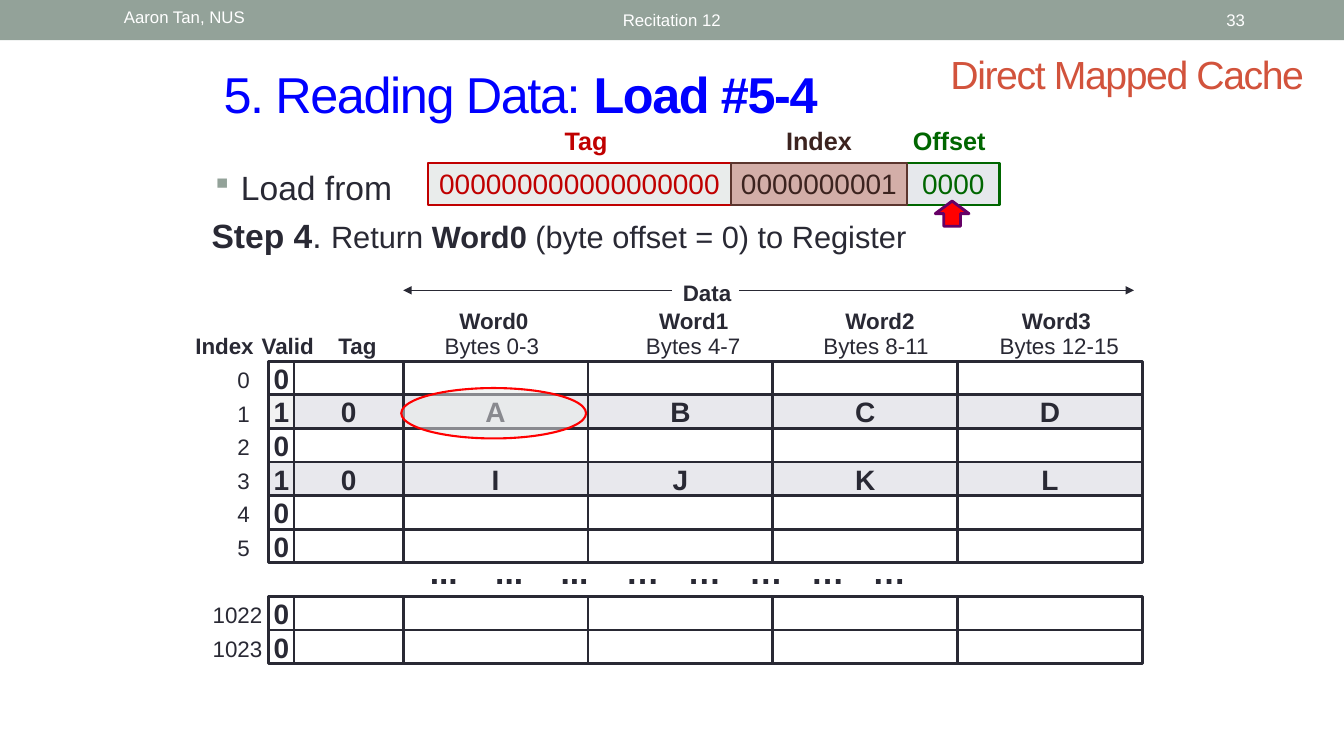
import dataclasses

import lxml.etree
import pptx
import pptx.dml.color
import pptx.enum.shapes
import pptx.enum.text
import pptx.oxml.ns
import pptx.util

Pt = pptx.util.Pt
SHAPE = pptx.enum.shapes.MSO_SHAPE
ALIGN = pptx.enum.text.PP_ALIGN
ANCHOR = pptx.enum.text.MSO_ANCHOR


@dataclasses.dataclass(frozen=True)
class Theme:
    """Colours and type sizes of the slide."""
    font: str = "Arial"
    ink: str = "292934"
    bar: str = "93A299"
    white: str = "FFFFFF"
    title: str = "0000FF"
    topic: str = "D2533C"
    tag: str = "C00000"
    tag_fill: str = "E9ECEB"
    index: str = "3C231F"
    index_line: str = "5B352E"
    index_fill: str = "D3AEA8"
    offset: str = "006600"
    offset_fill: str = "E6E8EC"
    filled_row: str = "E8E8ED"
    valid_hit: str = "F2F2F2"
    marker: str = "FF0000"
    marker_line: str = "660066"
    title_size: int = 36
    topic_size: int = 28
    body_size: int = 24
    step_size: int = 22
    value_size: int = 20
    field_size: int = 18
    label_size: int = 16
    bar_size: int = 12


THEME = Theme()


def rgb(colour):
    """Turn a hex string into a colour value."""
    return pptx.dml.color.RGBColor.from_string(colour)


def apply_format(target, values):
    """Set every attribute named in a dict of format values."""
    for name, value in values.items():
        setattr(target, name, value)


def add_xml(parent, tag, **attributes):
    """Append a DrawingML element and return it."""
    return lxml.etree.SubElement(parent, pptx.oxml.ns.qn(tag), attributes)


def write_run(paragraph, text, size, colour=THEME.ink, bold=False, spacing=None):
    """Add one formatted run to a paragraph."""
    run = paragraph.add_run()
    run.text = text
    apply_format(run.font, {"name": THEME.font, "size": Pt(size), "bold": bold})
    run.font.color.rgb = rgb(colour)
    if spacing is not None:
        run.font._element.set("spc", str(spacing))


def add_text(slide, box, runs, align=ALIGN.LEFT, anchor=ANCHOR.TOP, wrap=True):
    """Add a one-paragraph text box and return its paragraph."""
    frame = slide.shapes.add_textbox(*map(Pt, box)).text_frame
    apply_format(frame, {"word_wrap": wrap, "vertical_anchor": anchor})
    paragraph = frame.paragraphs[0]
    paragraph.alignment = align
    for values in runs:
        write_run(paragraph, **values)
    return paragraph


def add_label(slide, box, text, size=THEME.label_size, colour=THEME.ink, bold=False):
    """Add a centred label that stays on one line."""
    add_text(slide, box, [dict(text=text, size=size, colour=colour, bold=bold)],
             align=ALIGN.CENTER, wrap=False)


def add_block(slide, kind, box, fill=None, line=None, width=2, **run):
    """Add a preset shape with optional fill, outline and centred text."""
    shape = slide.shapes.add_shape(kind, *map(Pt, box))
    shape.shadow.inherit = False
    if fill:
        shape.fill.solid()
        shape.fill.fore_color.rgb = rgb(fill)
    else:
        shape.fill.background()
    if line:
        shape.line.width = Pt(width)
        shape.line.color.rgb = rgb(line)
    else:
        shape.line.fill.background()
    if run:
        apply_format(shape.text_frame, {"word_wrap": False, "vertical_anchor": ANCHOR.MIDDLE})
        paragraph = shape.text_frame.paragraphs[0]
        paragraph.alignment = ALIGN.CENTER
        write_run(paragraph, **run)
    return shape


def add_arrow(slide, start, end):
    """Add a thin line with an arrowhead at its end."""
    connector = slide.shapes.add_connector(
        pptx.enum.shapes.MSO_CONNECTOR.STRAIGHT, *map(Pt, start + end))
    connector.line.width = Pt(0.75)
    connector.line.color.rgb = rgb(THEME.ink)
    add_xml(connector.line._get_or_add_ln(), "a:tailEnd", type="triangle")
    add_xml(connector._element.spPr, "a:effectLst")


def add_top_bar(slide, box):
    """Place the bar with author, course and slide number."""
    left, top, width, height = box
    add_block(slide, SHAPE.RECTANGLE, box, fill=THEME.bar)
    for text, offset, text_width, align, anchor in (
            ("Aaron Tan, NUS", 81.4, 228, ALIGN.LEFT, ANCHOR.TOP),
            ("Recitation 12", 217.4, 525, ALIGN.CENTER, ANCHOR.MIDDLE),
            ("33", 828, 68.4, ALIGN.RIGHT, ANCHOR.MIDDLE)):
        add_text(slide, (left + offset, top + 1.4, text_width, 26),
                 [dict(text=text, size=THEME.bar_size, colour=THEME.white)], align, anchor)


def add_headings(slide, box):
    """Place the title and the topic at its right."""
    left, top, width, height = box
    title = dict(size=THEME.title_size, colour=THEME.title, spacing=-100)
    add_text(slide, (left, top + 10, 663, 50.4),
             [dict(title, text="5. Reading Data: "), dict(title, text="Load #5-4", bold=True)],
             anchor=ANCHOR.MIDDLE)
    add_text(slide, (left + width - 279.4, top, 279.4, 41.8),
             [dict(text="Direct Mapped Cache", size=THEME.topic_size,
                   colour=THEME.topic, spacing=-100)], anchor=ANCHOR.MIDDLE)


def add_steps(slide, box):
    """Place the load bullet and the step sentence."""
    bullet = add_text(slide, box, [])
    properties = bullet._p.get_or_add_pPr()
    for name, indent in (("marL", 21), ("indent", -21)):
        properties.set(name, str(Pt(indent)))
    add_xml(add_xml(properties, "a:buClr"), "a:srgbClr", val=THEME.bar)
    add_xml(properties, "a:buSzPct", val="85000")
    add_xml(properties, "a:buChar", char="▪")
    write_run(bullet, "Load from", THEME.body_size)
    step = slide.shapes[-1].text_frame.add_paragraph()
    step.space_before = Pt(5.5)
    for text, size, bold in (("Step 4", THEME.body_size, True),
                             (". ", THEME.body_size, False),
                             ("Return ", THEME.step_size, False),
                             ("Word0", THEME.step_size, True),
                             (" (byte offset = 0) to Register", THEME.step_size, False)):
        write_run(step, text, size, bold=bold)


def add_address(slide, box):
    """Place the address split into tag, index and offset, with its pointer."""
    left, top, width, height = box
    for name, bits, start, field_width, shift, colour, fill, line in (
            ("Tag", "0" * 18, 0, 216, 4.7, THEME.tag, THEME.tag_fill, THEME.tag),
            ("Offset", "0000", 342, 66, -3, THEME.offset, THEME.offset_fill, THEME.offset),
            ("Index", "0000000001", 216, 126, 0, THEME.index, THEME.index_fill,
             THEME.index_line)):
        add_block(slide, SHAPE.RECTANGLE, (left + start, top, field_width, height), fill, line,
                  1.5, text=bits, size=THEME.value_size, colour=colour)
        centre = left + start + field_width / 2 + shift
        add_label(slide, (centre - 45, top - 30, 90, 29), name, THEME.field_size, colour, True)
    add_block(slide, SHAPE.UP_ARROW, (left + 362.1, top + 27.4, 24, 18), THEME.marker,
              THEME.marker_line, 2.08)


def add_cache_headings(slide, box):
    """Place the column headings and the data span above the cache."""
    left, top, width, height = box
    bottom = top + height - 24
    for text, centre in (("Index", -31.6), ("Valid", 13.5), ("Tag", 63.3)):
        add_label(slide, (left + centre - 30, bottom, 60, 26.6), text, bold=True)
    for number, (span, word_centre, span_centre) in enumerate(
            (("0-3", 160.8, 159.3), ("4-7", 303.5, 303.1),
             ("8-11", 436.6, 433.7), ("12-15", 562.6, 564.7))):
        add_label(slide, (left + word_centre - 55, bottom - 18, 110, 26.6),
                  f"Word{number}", bold=True)
        add_label(slide, (left + span_centre - 55, bottom, 110, 26.6), f"Bytes {span}")
    add_label(slide, (left + 283, top, 60, 26.6), "Data", bold=True)
    for start, end in ((288, 96), (336, 618)):
        add_arrow(slide, (left + start, top + 11.5), (left + end, top + 11.5))


def add_cache(slide, box):
    """Place the cache rows, their numbers, the gap and the marked word."""
    left, top, width, height = box
    row_height = height / 9
    column_widths = (18, 78) + (132,) * 4
    filled_rows = {1: "10ABCD", 3: "10IJKL"}
    for row, number in enumerate((0, 1, 2, 3, 4, 5, None, 1022, 1023)):
        if number is None:
            continue
        y = top + row * row_height
        centre = -18 if number < 10 else -22.4
        add_label(slide, (left + centre - 30, y, 60, 26.6), str(number))
        for column, column_width in enumerate(column_widths):
            value = filled_rows.get(row, "0")[column:column + 1]
            fill = THEME.filled_row if row in filled_rows else None
            if (row, column) == (1, 0):
                fill = THEME.valid_hit
            run = dict(text=value, size=THEME.value_size, bold=True) if value else {}
            x = left + sum(column_widths[:column])
            add_block(slide, SHAPE.RECTANGLE, (x, y, column_width, row_height), fill,
                      THEME.ink, **run)
    gap = add_text(slide, (left + 108, top + 5.5 * row_height, 396, 58), [])
    tabs = add_xml(gap._p.get_or_add_pPr(), "a:tabLst")
    for stop in (46.7, 93.4, 140.1, 184.1, 228.1, 272.1, 316.1):
        add_xml(tabs, "a:tab", pos=str(Pt(stop)), algn="l")
    write_run(gap, "\t".join(["..."] * 3 + ["…"] * 5), THEME.body_size, bold=True)
    marker = add_block(slide, SHAPE.OVAL, (left + 94.6, top + 19.2, 132, 36), THEME.tag_fill,
                       THEME.marker, 1.5)
    fill_colour = marker._element.spPr.find(".//" + pptx.oxml.ns.qn("a:srgbClr"))
    add_xml(fill_colour, "a:alpha", val="50000")


def main():
    """Build the slide and save it."""
    presentation = pptx.Presentation()
    apply_format(presentation, {"slide_width": Pt(960), "slide_height": Pt(540)})
    slide = presentation.slides.add_slide(presentation.slide_layouts[6])
    add_top_bar(slide, (0, 0, 960, 28.8))
    add_headings(slide, (152.6, 31.7, 798.6, 59.8))
    add_steps(slide, (144, 115.5, 672, 75.6))
    add_address(slide, (306, 116.2, 408, 30))
    add_cache_headings(slide, (192, 195.9, 624, 62))
    add_cache(slide, (192, 258, 624, 216))
    presentation.save("out.pptx")


if __name__ == "__main__":
    main()
